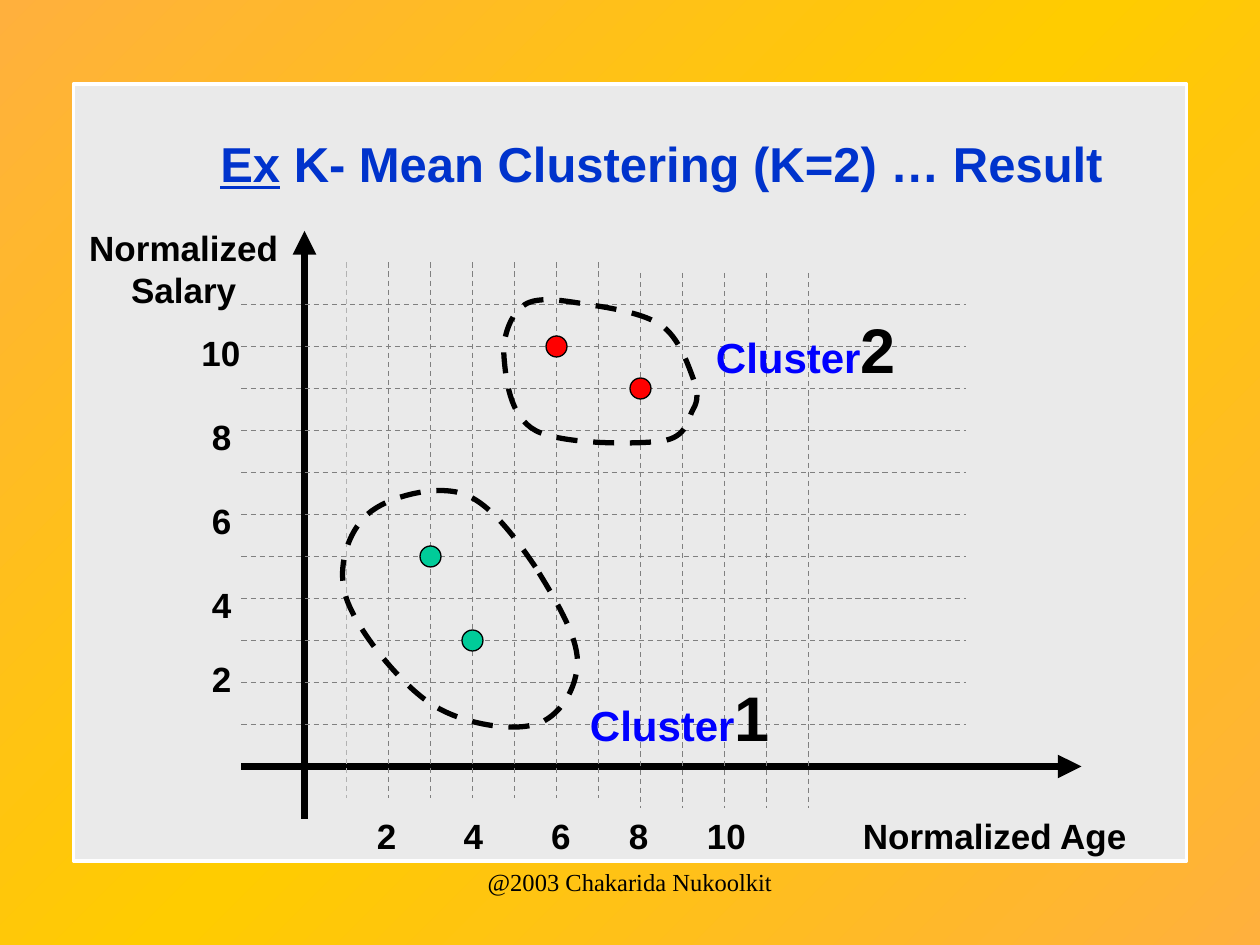
"""Build a slide showing the result of K-means clustering with K=2."""
from copy import deepcopy

from pptx import Presentation
from pptx.dml.color import RGBColor
from pptx.enum.dml import MSO_LINE
from pptx.enum.shapes import MSO_CONNECTOR, MSO_SHAPE
from pptx.enum.text import MSO_ANCHOR, MSO_AUTO_SIZE, PP_ALIGN
from pptx.oxml.ns import qn
from pptx.oxml.xmlchemy import OxmlElement
from pptx.util import Pt

DASH = MSO_LINE.DASH
STRAIGHT = MSO_CONNECTOR.STRAIGHT
RECTANGLE, OVAL = MSO_SHAPE.RECTANGLE, MSO_SHAPE.OVAL
LEFT, CENTER = PP_ALIGN.LEFT, PP_ALIGN.CENTER
TOP, MIDDLE = MSO_ANCHOR.TOP, MSO_ANCHOR.MIDDLE
FIT, FIXED = MSO_AUTO_SIZE.SHAPE_TO_FIT_TEXT, MSO_AUTO_SIZE.NONE
color = RGBColor.from_string

ORIGIN_X, ORIGIN_Y, STEP = 174, 438, 24

deck = Presentation()
deck.slide_width, deck.slide_height = Pt(720), Pt(540)
page = deck.slides.add_slide(deck.slide_layouts[6])
shapes = page.shapes


def add_text(text, left, top, width, height, size=20, font="Arial", fill="000000",
             bold=True, align=LEFT, anchor=TOP, fit=FIT, tabs=()):
    """Add a text box; text is a string or a list of (string, font changes)."""
    box = shapes.add_textbox(Pt(left), Pt(top), Pt(width), Pt(height))
    frame = box.text_frame
    frame.word_wrap = True
    frame.auto_size = fit
    frame.vertical_anchor = anchor
    para = frame.paragraphs[0]
    para.alignment = align
    if tabs:
        tab_list = OxmlElement("a:tabLst")
        for position in tabs:
            tab = OxmlElement("a:tab")
            tab.set("pos", str(Pt(position)))
            tab.set("algn", "l")
            tab_list.append(tab)
        para._p.get_or_add_pPr().append(tab_list)
    for words, changes in [(text, {})] if isinstance(text, str) else text:
        span = para.add_run()
        span.text = words
        span.font.name = font
        span.font.bold = bold
        span.font.size = Pt(changes.get("size", size))
        span.font.underline = changes.get("underline")
        span.font.color.rgb = color(changes.get("fill", fill))


def add_line(x1, y1, x2, y2, stroke="808080", width=0.75, dash=DASH, arrow=None):
    """Add a straight line; arrow names the end that carries a triangle."""
    connector = shapes.add_connector(STRAIGHT, Pt(x1), Pt(y1), Pt(x2), Pt(y2))
    connector.line.color.rgb = color(stroke)
    connector.line.width = Pt(width)
    connector.line.dash_style = dash
    if arrow:
        end = OxmlElement(arrow)
        end.set("type", "triangle")
        connector.line._get_or_add_ln().append(end)
    connector._element.spPr.append(OxmlElement("a:effectLst"))


backdrop = page.background.fill
backdrop.gradient()
backdrop.gradient_angle = 135
stop_list = page._element.find(".//" + qn("a:gsLst"))
stop_list.insert(1, deepcopy(stop_list[0]))
for stop, (position, tint) in zip(
        backdrop.gradient_stops, [(0, "FFB03D"), (0.5, "FFCC00"), (1, "FFB03D")]):
    stop.position = position
    stop.color.rgb = color(tint)

panel = shapes.add_shape(RECTANGLE, Pt(42), Pt(48), Pt(636), Pt(444))
panel.shadow.inherit = False
panel.fill.solid()
panel.fill.fore_color.rgb = color("EAEAEA")
panel.line.color.rgb = color("FFFFFF")
panel.line.width = Pt(2.25)

add_text([("Ex", {"underline": True}), (" K- Mean Clustering (K=2) … Result", {})],
         72, 48, 612, 90, size=28, fill="0033CC", align=CENTER, anchor=MIDDLE, fit=FIXED)

add_line(ORIGIN_X, 132, ORIGIN_X, 468, "000000", 4.5, None, "a:headEnd")
add_line(138, ORIGIN_Y, 618, ORIGIN_Y, "000000", 4.5, None, "a:tailEnd")
for row in range(1, 12):
    y = ORIGIN_Y - row * STEP
    add_line(138, y, 552, y)
for column in range(1, 13):
    x = ORIGIN_X + column * STEP
    top = 150 if column < 8 else 156
    add_line(x, top, x, top + 306, "B2B2B2" if column == 1 else "808080")

add_text("\t2\t4\t6\t8\t10\tNormalized Age", 186, 462, 522, 31.5,
         tabs=(22.2, 71.9, 121.8, 166.3, 210.8, 300))
for label, left, top, width in [("2", 114, 372, 36), ("4", 114, 330, 60), ("6", 114, 282, 42),
                                ("8", 114, 234, 48), ("10", 108, 186, 60)]:
    add_text(label, left, top, width, 31.5)
add_text("Normalized Salary", 36, 126, 138, 55.5, align=CENTER)

for age, salary, tint in [(3, 5, "00CC99"), (4, 3, "00CC99"), (6, 10, "FF0000"), (8, 9, "FF0000")]:
    dot = shapes.add_shape(OVAL, Pt(ORIGIN_X + age * STEP - 6),
                           Pt(ORIGIN_Y - salary * STEP - 6), Pt(12), Pt(12))
    dot.shadow.inherit = False
    dot.fill.solid()
    dot.fill.fore_color.rgb = color(tint)
    dot.line.color.rgb = color("000000")
    dot.line.width = Pt(0.75)

cluster_outlines = [
    [(306, 324), (295, 308), (280, 287), (264, 282), (248, 277), (221, 284), (210, 294),
     (199, 304), (192, 324), (198, 342), (204, 360), (228, 390), (246, 402),
     (264, 414), (292, 418), (306, 414), (320, 410), (330, 393), (330, 378),
     (330, 363), (317, 342), (306, 324)],
    [(396, 216), (393, 208), (388, 193), (378, 186), (368, 179), (349, 176), (336, 174),
     (323, 172), (308, 169), (300, 174), (292, 179), (287, 192), (288, 204),
     (289, 216), (291, 238), (306, 246), (321, 254), (363, 254), (378, 252),
     (393, 250), (393, 239), (396, 234), (399, 229), (399, 224), (396, 216)],
]
for outline in cluster_outlines:
    start, *controls = [(Pt(x), Pt(y)) for x, y in outline]
    builder = shapes.build_freeform(*start)
    builder.add_line_segments(controls, close=True)
    loop = builder.convert_to_shape()
    segments = loop._element.findall(".//" + qn("a:lnTo"))
    for first in range(0, len(segments), 3):
        curve = OxmlElement("a:cubicBezTo")
        segments[first].addprevious(curve)
        for segment in segments[first:first + 3]:
            curve.append(segment[0])
            segment.getparent().remove(segment)
    loop.shadow.inherit = False
    loop.fill.background()
    loop.line.color.rgb = color("000000")
    loop.line.width = Pt(3)
    loop.line.dash_style = DASH

for number, left, top, width in [("1", 330, 384, 126), ("2", 402, 174, 156)]:
    add_text([("Cluster", {}), (number, {"size": 36, "fill": "000000"})],
             left, top, width, 50.5, size=24, fill="0000FF")

add_text("@2003 Chakarida Nukoolkit", 246, 492, 228, 36, size=14,
         font="Times New Roman", bold=False, align=CENTER, fit=FIXED)

deck.save("out.pptx")
